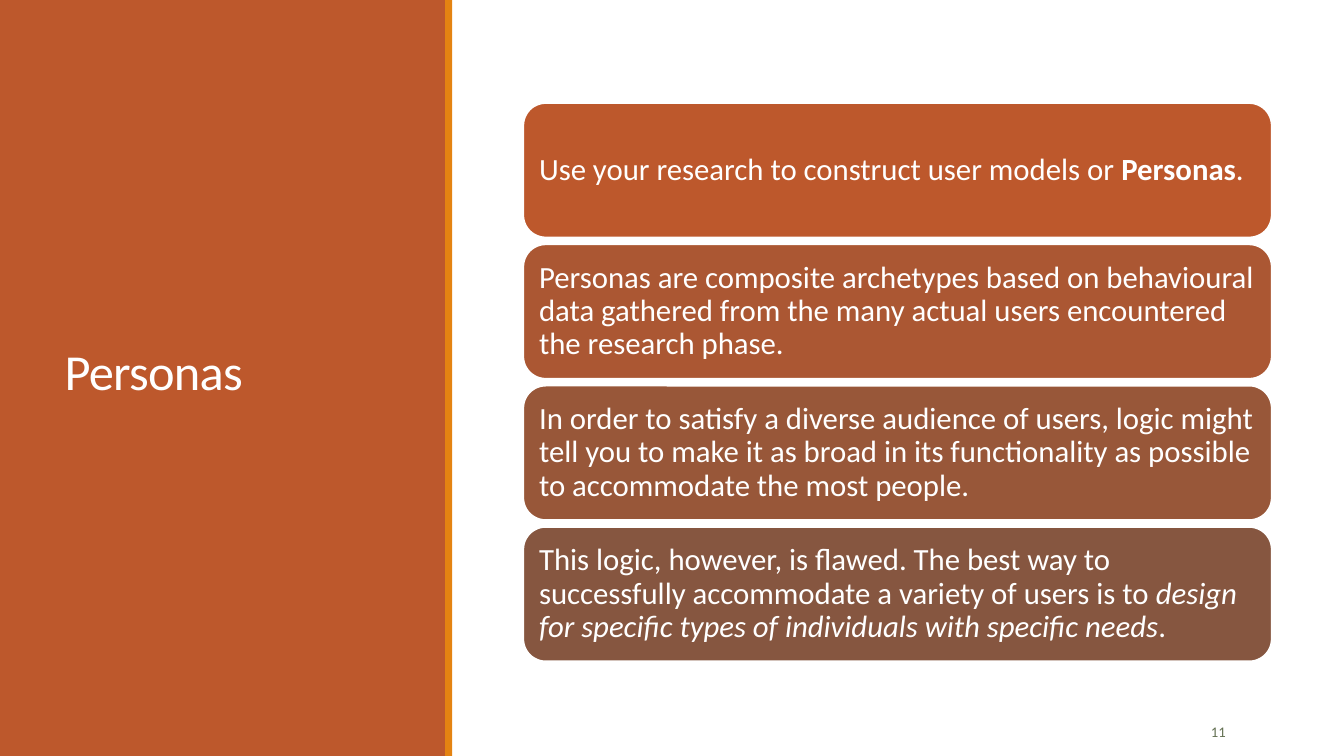
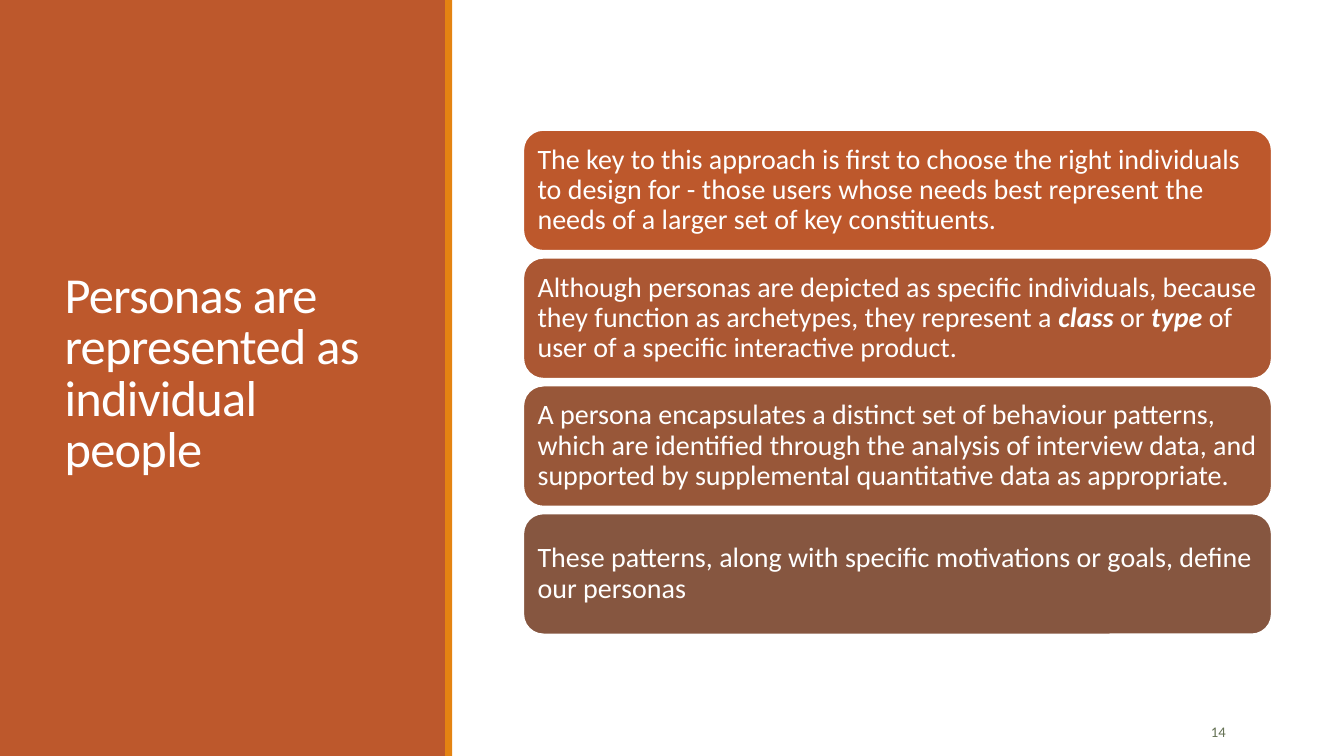
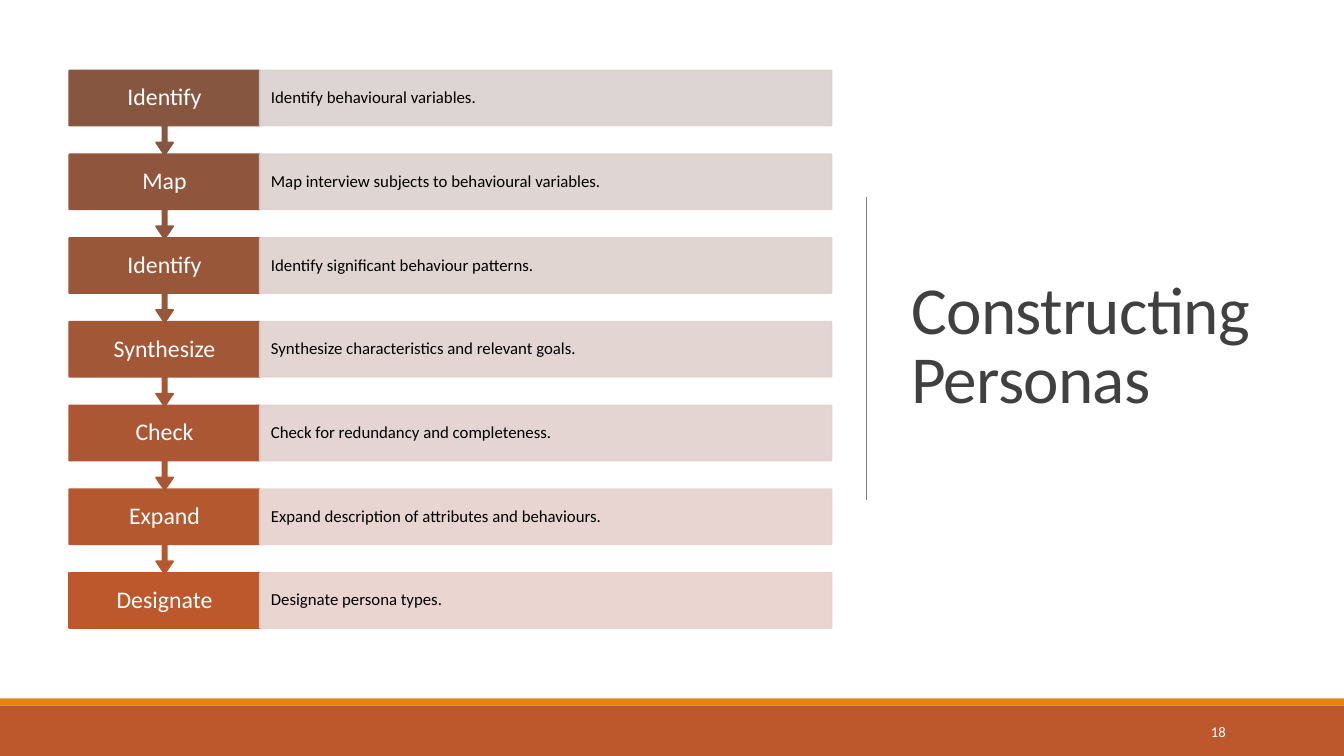
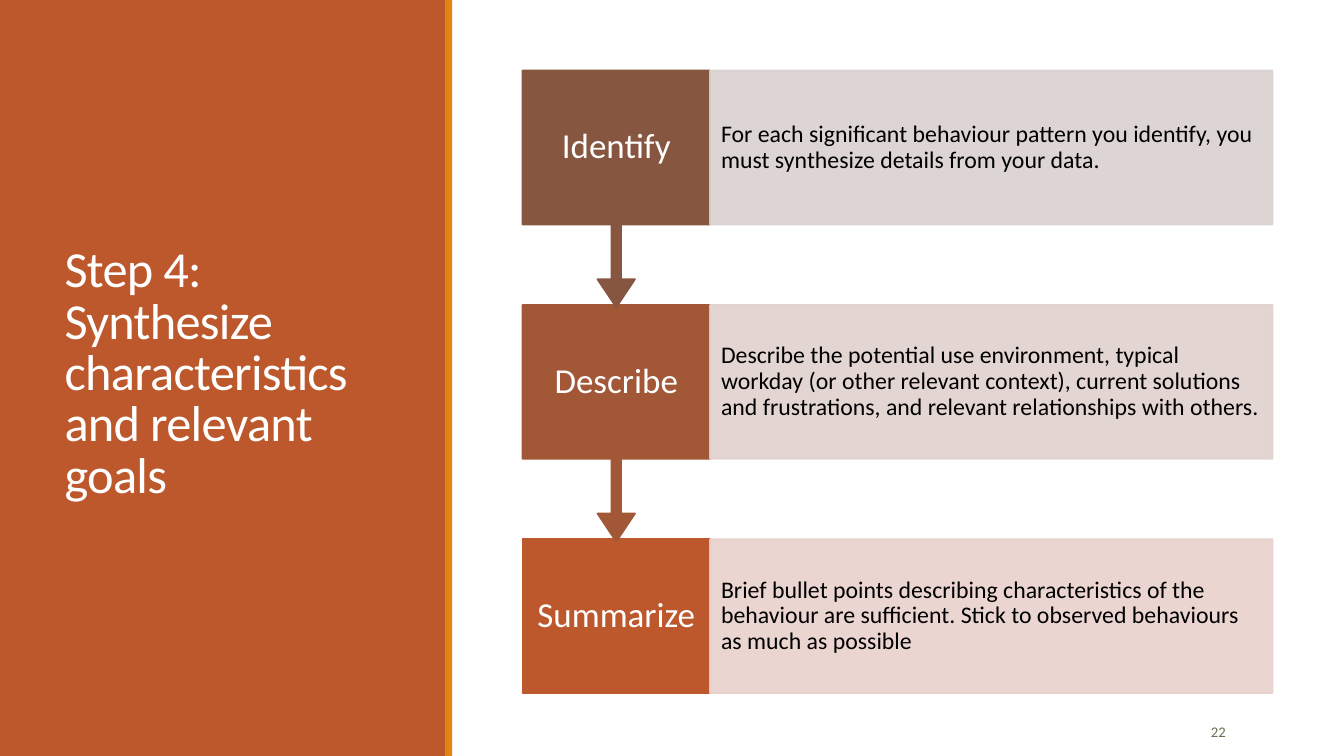
from dataclasses import dataclass

from lxml.etree import SubElement
from pptx import Presentation
from pptx.dml.color import RGBColor as Rgb
from pptx.enum.shapes import MSO_CONNECTOR as Link, MSO_SHAPE as Kind
from pptx.enum.text import MSO_ANCHOR as Anchor, PP_ALIGN as Align
from pptx.oxml.ns import qn
from pptx.util import Emu, Inches, Pt

COLS, ROWS = 160, 90


@dataclass(frozen=True)
class Theme:
    font: str = "Calibri"
    rust: str = "BD582C"
    brown: str = "865640"
    amber: str = "E48312"
    blush: str = "E8D1CD"
    ash: str = "D9D1CF"
    white: str = "FFFFFF"
    black: str = "000000"
    dark: str = "404040"
    rule: str = "808080"
    moss: str = "637052"
    head: float = 36
    big: float = 48
    foot: float = 10.5
    edge: float = 1.25


def mix(a, b, t):
    """Colour at share t of the way from a to b."""
    pairs = zip(Rgb.from_string(a), Rgb.from_string(b))
    return str(Rgb(*(round(x + (y - x) * t) for x, y in pairs)))


def fade(fill, share):
    tone = fill._xPr.find(".//" + qn("a:srgbClr"))
    SubElement(tone, qn("a:alpha"), val=str(round(share * 100000)))


class Deck:
    """Holds the theme and the current slide; lengths are grid cells."""

    def __init__(self, theme):
        self.look = theme
        self.prs = Presentation()
        self.prs.slide_width, self.prs.slide_height = Emu(12192000), Inches(7.5)
        self.unit = self.prs.slide_height / ROWS
        self.page = None

    def cells(self, *spans):
        return [Emu(round(n * self.unit)) for n in spans]

    def start(self):
        self.page = self.prs.slides.add_slide(self.prs.slide_layouts[6]).shapes

    def block(self, spot, fill, line=None, kind=Kind.RECTANGLE, alpha=None):
        shape = self.page.add_shape(kind, *self.cells(*spot))
        shape.shadow.inherit = False
        shape.fill.solid()
        shape.fill.fore_color.rgb = Rgb.from_string(fill)
        if line:
            shape.line.width = Pt(self.look.edge)
            shape.line.fill.solid()
            shape.line.color.rgb = Rgb.from_string(line)
        else:
            shape.line.fill.background()
        if alpha:
            fade(shape.fill, alpha)
            fade(shape.line.fill, alpha)
        return shape

    def box(self, spot):
        return self.page.add_textbox(*self.cells(*spot))

    def label(self, shape, runs, size, tone, align=Align.LEFT, lead=0.9,
              pad=None, after=None, track=None):
        """Fill a shape with one paragraph; runs are (text, marks) pairs."""
        frame = shape.text_frame
        frame.word_wrap = True
        frame.vertical_anchor = Anchor.MIDDLE
        if pad is not None:
            frame.margin_left = frame.margin_right = pad
        para = frame.paragraphs[0]
        para.alignment, para.line_spacing = align, lead
        if after:
            para.space_after = Pt(0)
            gap = para._p.pPr.find(qn("a:spcAft"))
            gap.clear()
            SubElement(gap, qn("a:spcPct"), val=str(round(after * 100000)))
        for text, marks in [(runs, "")] if isinstance(runs, str) else runs:
            run = para.add_run()
            run.text = text
            font = run.font
            font.name, font.size = self.look.font, Pt(size)
            font.color.rgb = Rgb.from_string(tone)
            if "b" in marks:
                font.bold = True
            if "i" in marks:
                font.italic = True
            if track:
                run._r.get_or_add_rPr().set("spc", str(track))

    def title(self, spot, text, size, tone):
        self.label(self.box(spot), text, size, tone, lead=0.85, track=-50)

    def number(self, num, tone):
        box = self.box((132.8, 84.7, 14.3, 4.8))
        self.label(box, str(num), self.look.foot, tone, Align.RIGHT, lead=1)
        box.text_frame.paragraphs[0].space_after = Pt(6)

    def side(self, text, num):
        """Start a slide with the title panel on the left."""
        look = self.look
        self.start()
        self.block((0, 0, 53.1, ROWS), look.rust)
        self.title((6.5, 6.8, 40.5, 75.7), text, look.head, look.white)
        self.block((53, 0, 0.85, ROWS), look.amber)
        self.number(num, look.moss)

    def base(self, text, num):
        """Start a slide with the title on the right and bands below."""
        look = self.look
        self.start()
        self.title((107.3, 8.3, 44.3, 66.4), text, look.big, look.dark)
        self.rule(103.1, 23.5, 59.5)
        self.block((0, 83.15, COLS, 0.85), look.amber)
        self.block((0, 84, COLS, 6), look.rust)
        self.number(num, look.white)

    def rule(self, x, top, end):
        line = self.page.add_connector(Link.STRAIGHT, *self.cells(x, top, x, end))
        line.line.width = Pt(0.5)
        line.line.color.rgb = Rgb.from_string(self.look.rule)
        SubElement(line._element.spPr, qn("a:effectLst"))

    def cards(self, texts, tall, size, gap=0.82):
        """Stack rounded cards about a fixed middle row."""
        look, count = self.look, len(texts)
        top = 45.5 - (count * tall + (count - 1) * gap) / 2
        for i, text in enumerate(texts):
            tone = mix(look.rust, look.brown, i / (count - 1))
            card = self.block((62.3, top + i * (tall + gap), 89.1, tall), tone,
                              look.white, Kind.ROUNDED_RECTANGLE)
            self.label(card, text, size, look.white,
                       pad=Pt(size * 0.3), after=0.35)

    def steps(self, items, left, wide, pitch, size, small):
        """Draw labelled rows from the last up, each arrow meeting the next."""
        look, last = self.look, len(items) - 1
        part, drop = wide / 4, pitch * 1.01
        tall = drop * 0.65
        for i, (name, text) in reversed(list(enumerate(items))):
            top, share = 8.4 + i * pitch, i / last
            tone = mix(look.brown, look.rust, share)
            tint = mix(look.ash, look.blush, share)
            spot = left, top, part, tall
            if i == last:
                self.block(spot, tone, tone)
            else:
                call = self.block((left, top, part, drop), tone, tone,
                                  Kind.UP_ARROW_CALLOUT)
                call.rotation = 180
                for k, value in enumerate((0.05, 0.1, 0.15, 0.65)):
                    call.adjustments[k] = value
            self.label(self.box(spot), name, size, look.white, Align.CENTER,
                       pad=Inches(0.13), after=0.35)
            body = self.block((left + part, top, wide - part, tall),
                              tint, tint, alpha=0.9)
            self.label(body, text, small, look.black,
                       pad=Inches(0.11), after=0.35)


def main():
    deck = Deck(Theme())

    deck.side("Personas", 11)
    deck.cards([
        [("Use your research to construct user models or ", ""),
         ("Personas", "b"), (".", "")],
        "Personas are composite archetypes based on behavioural data gathered "
        "from the many actual users encountered the research phase.",
        "In order to satisfy a diverse audience of users, logic might tell you "
        "to make it as broad in its functionality as possible to accommodate "
        "the most people.",
        [("This logic, however, is flawed. The best way to successfully "
          "accommodate a variety of users is to ", ""),
         ("design for specific types of individuals with specific needs", "i"),
         (".", "")],
    ], tall=16, size=22)

    deck.side("Personas are represented as individual people", 14)
    deck.cards([
        "The key to this approach is first to choose the right individuals to "
        "design for - those users whose needs best represent the needs of a "
        "larger set of key constituents.",
        [("Although personas are depicted as specific individuals, because "
          "they function as archetypes, they represent a ", ""),
         ("class", "bi"), (" or ", ""), ("type", "bi"),
         (" of user of a specific interactive product.", "")],
        "A persona encapsulates a distinct set of behaviour patterns, which "
        "are identified through the analysis of interview data, and supported "
        "by supplemental quantitative data as appropriate.",
        "These patterns, along with specific motivations or goals, define our "
        "personas",
    ], tall=14.4, size=20)

    deck.base("Constructing Personas", 18)
    deck.steps([
        ("Identify", "Identify behavioural variables."),
        ("Map", "Map interview subjects to behavioural variables."),
        ("Identify", "Identify significant behaviour patterns."),
        ("Synthesize", "Synthesize characteristics and relevant goals."),
        ("Check", "Check for redundancy and completeness."),
        ("Expand", "Expand description of attributes and behaviours."),
        ("Designate", "Designate persona types."),
    ], left=8.25, wide=90.75, pitch=9.97, size=17, small=12)

    deck.side("Step 4: Synthesize characteristics and relevant goals", 22)
    deck.steps([
        ("Identify", "For each significant behaviour pattern you identify, you "
         "must synthesize details from your data."),
        ("Describe", "Describe the potential use environment, typical workday "
         "(or other relevant context), current solutions and frustrations, and "
         "relevant relationships with others."),
        ("Summarize", "Brief bullet points describing characteristics of the "
         "behaviour are sufficient. Stick to observed behaviours as much as "
         "possible"),
    ], left=62.2, wide=89.3, pitch=27.9, size=25, small=17)

    deck.prs.save("out.pptx")


if __name__ == "__main__":
    main()
